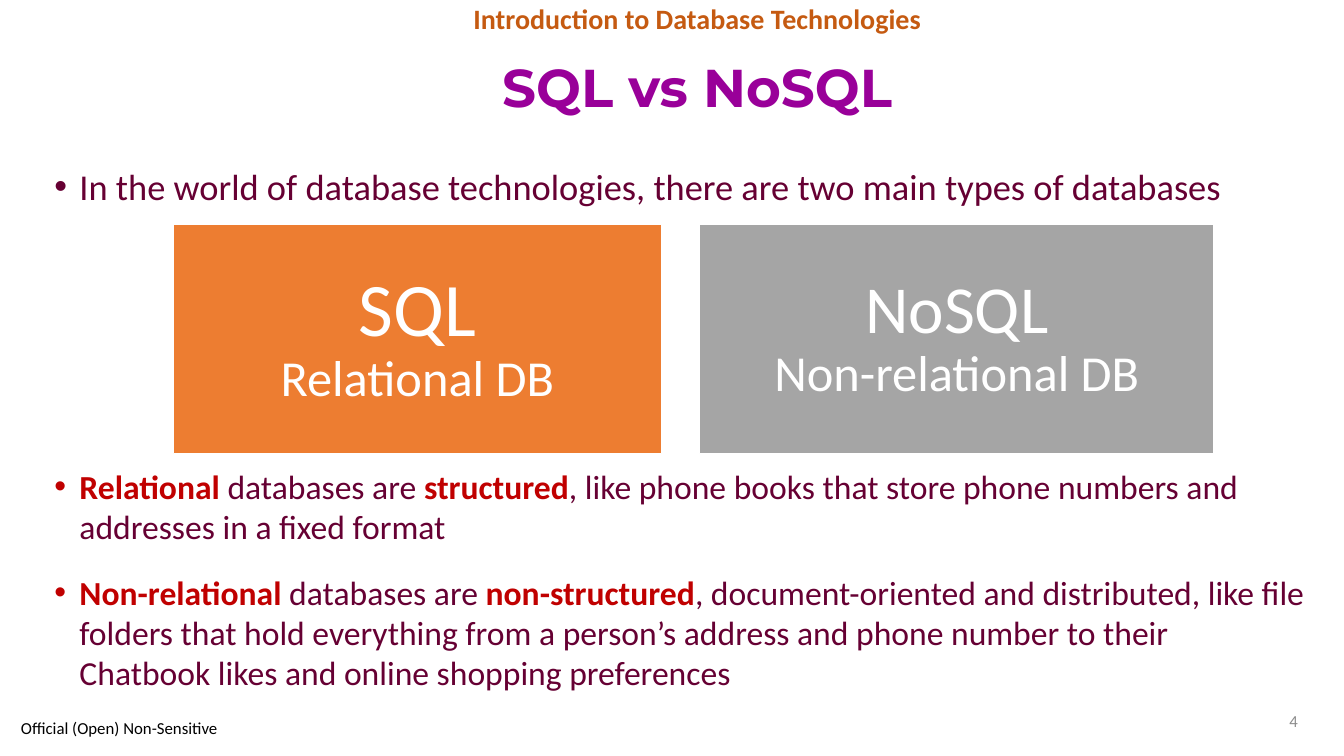
from lxml import etree
from pptx import Presentation
from pptx.dml.color import RGBColor
from pptx.enum import shapes, text
from pptx.oxml.ns import qn
from pptx.util import Inches, Pt

PLUM, RED, WHITE = "660033", "C00000", "FFFFFF"
LEFT, CENTER, RIGHT = text.PP_ALIGN.LEFT, text.PP_ALIGN.CENTER, text.PP_ALIGN.RIGHT
TOP, MIDDLE = text.MSO_ANCHOR.TOP, text.MSO_ANCHOR.MIDDLE


def color(value):
    return RGBColor.from_string(value)


def style(paragraph, size, value, bold=False, align=LEFT, font="Calibri"):
    paragraph.alignment = align
    paragraph.font.size = Pt(size)
    paragraph.font.name = font
    paragraph.font.bold = bold
    paragraph.font.color.rgb = color(value)


presentation = Presentation()
presentation.slide_width = Inches(13.33)
presentation.slide_height = Inches(7.5)
slide = presentation.slides.add_slide(presentation.slide_layouts[5])

title = slide.shapes.title
title.left, title.top = Inches(0.87), Inches(0.41)
title.width, title.height = Inches(12.09), Inches(0.97)
title.text_frame.text = "SQL vs NoSQL"
title.text_frame.vertical_anchor = MIDDLE
heading = title.text_frame.paragraphs[0]
heading.line_spacing = 0.9
style(heading, 38, "990099", True, CENTER, "Montserrat")

labels = [
    ("Introduction to Database Technologies", 2.62, 0, 8.59, 0.41, 20, "C55A11", True, CENTER, TOP),
    ("4", 9.7, 6.95, 3.27, 0.4, 12, "8C8C8C", False, RIGHT, MIDDLE),
    ("Official (Open) Non-Sensitive", 0.11, 7.09, 2.24, 0.26, 12, "000000", False, LEFT, MIDDLE),
]
for words, left, top, width, height, size, value, bold, align, anchor in labels:
    label = slide.shapes.add_textbox(Inches(left), Inches(top), Inches(width), Inches(height))
    label.text_frame.word_wrap = True
    label.text_frame.vertical_anchor = anchor
    label.text_frame.text = words
    style(label.text_frame.paragraphs[0], size, value, bold, align)
    label.text_frame.paragraphs[0].line_spacing = 0.9 if bold else 1.0

cards = [
    ("SQL", "Relational DB", 1.72, 4.84, "ED7D31", 54, 0.23),
    ("NoSQL", "Non-relational DB", 6.94, 5.1, "A5A5A5", 48, 0.2),
]
for name, kind, left, width, fill, size, inset in cards:
    card = slide.shapes.add_shape(
        shapes.MSO_SHAPE.RECTANGLE, Inches(left), Inches(2.23), Inches(width), Inches(2.27))
    card.shadow.inherit = False
    card.fill.solid()
    card.fill.fore_color.rgb = color(fill)
    card.line.color.rgb = color(WHITE)
    card.line.width = Pt(1)
    frame = card.text_frame
    frame.vertical_anchor = MIDDLE
    frame.margin_left = frame.margin_right = Inches(inset)
    frame.margin_top = frame.margin_bottom = Inches(inset)
    paragraph = frame.paragraphs[0]
    style(paragraph, 36, WHITE, align=CENTER)
    paragraph.line_spacing = 0.9
    name_run = paragraph.add_run()
    name_run.text = name
    name_run.font.size = Pt(size)
    paragraph.add_line_break()
    paragraph.add_run().text = kind

bullet_boxes = [
    (1.58, 0.6, 26, [
        [("In the world of database technologies, there are two main types of databases", False)],
    ]),
    (4.57, 2.54, 24, [
        [("Relational ", True), ("databases are ", False), ("structured", True),
         (", like phone books that store phone numbers and addresses in a fixed format", False)],
        [("Non-relational", True), (" databases are ", False), ("non-structured", True),
         (", document-oriented and distributed, like file folders that hold everything from "
          "a person’s address and phone number to their Chatbook likes and online shopping "
          "preferences", False)],
    ]),
]
for top, height, size, bullets in bullet_boxes:
    box = slide.shapes.add_textbox(Inches(0.44), Inches(top), Inches(12.6), Inches(height))
    frame = box.text_frame
    frame.word_wrap = True
    for index, pieces in enumerate(bullets):
        paragraph = frame.add_paragraph() if index else frame.paragraphs[0]
        style(paragraph, size, PLUM)
        paragraph.space_before = Pt(18)
        for words, key in pieces:
            run = paragraph.add_run()
            run.text = words
            run.font.bold = key
            run.font.color.rgb = color(RED if key else PLUM)
        properties = paragraph._p.get_or_add_pPr()
        properties.set("marL", str(Inches(0.25)))
        properties.set("indent", str(Inches(-0.25)))
        bullet_font = etree.Element(qn("a:buFont"), typeface="Arial")
        bullet = etree.Element(qn("a:buChar"), char="•")
        properties.find(qn("a:defRPr")).addprevious(bullet_font)
        bullet_font.addnext(bullet)

presentation.save("out.pptx")
